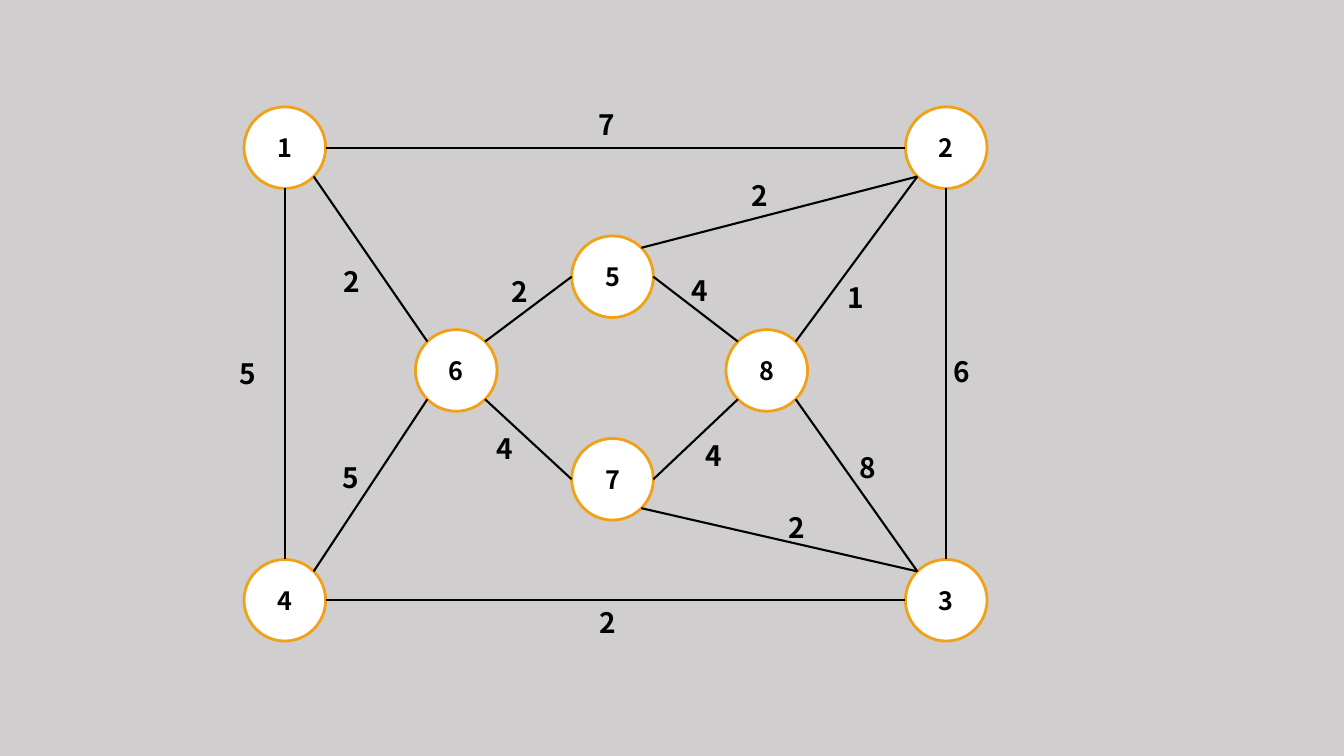
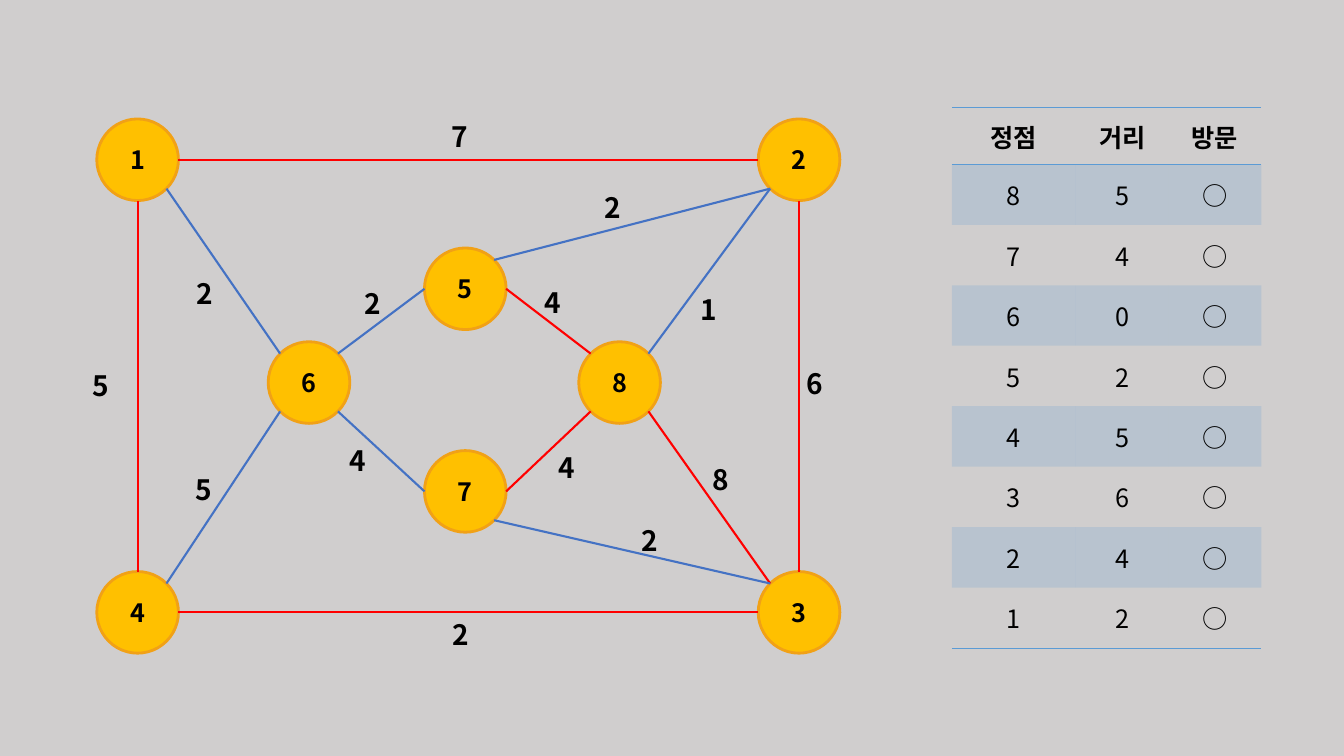
"""Two slides: a weighted graph, and its shortest paths with a distance table."""
from dataclasses import dataclass
from math import cos, radians, sin

from lxml import etree
from pptx import Presentation
from pptx.dml.color import RGBColor
from pptx.enum.shapes import MSO_CONNECTOR, MSO_SHAPE
from pptx.enum.text import MSO_ANCHOR, MSO_AUTO_SIZE, PP_ALIGN
from pptx.oxml.ns import qn
from pptx.util import Inches, Pt

STRAIGHT = MSO_CONNECTOR.STRAIGHT
OVAL = MSO_SHAPE.OVAL
MIDDLE = MSO_ANCHOR.MIDDLE
FIT = MSO_AUTO_SIZE.SHAPE_TO_FIT_TEXT
CENTER, LEFT = PP_ALIGN.CENTER, PP_ALIGN.LEFT
NO_STYLE = "{2D5ABB26-0587-4C30-8999-92F81FD0307C}"
TOP, TL, L, BL, BOTTOM, BR, R, TR = range(8)


@dataclass(frozen=True)
class Theme:
    font: str = "Noto Sans CJK KR"
    text_size: int = 18
    weight_size: int = 20
    background: str = "D0CECE"
    text: str = "000000"
    outline: str = "F1A116"
    plain: str = "FFFFFF"
    visited: str = "FFC000"
    unused: str = "FF0000"
    path_edge: str = "4472C4"
    table: str = "5B9BD5"
    band_alpha: int = 20
    diameter: float = 0.81


def rgb(value):
    return RGBColor.from_string(value)


class Deck:
    def __init__(self, theme):
        self.theme = theme
        self.prs = Presentation()
        self.prs.slide_width, self.prs.slide_height = Inches(13.33), Inches(7.5)
        fill = self.prs.slide_master.background.fill
        fill.solid()
        fill.fore_color.rgb = rgb(theme.background)
        self.s = None

    def slide(self):
        self.s = self.prs.slides.add_slide(self.prs.slide_layouts[6])

    def add_text(self, tf, text, size, bold=True, align=CENTER):
        p = tf.paragraphs[0]
        p.alignment = align
        r = p.add_run()
        r.text = text
        fmt = {"name": self.theme.font, "size": Pt(size), "bold": bold}
        for key, value in fmt.items():
            setattr(r.font, key, value)
        r.font.color.rgb = rgb(self.theme.text)
        ea = etree.SubElement(r.font._element, qn("a:ea"))
        ea.set("typeface", self.theme.font)

    def node(self, name, x, y, color):
        d = Inches(self.theme.diameter)
        sp = self.s.shapes.add_shape(OVAL, Inches(x), Inches(y), d, d)
        sp.shadow.inherit = False
        sp.fill.solid()
        sp.fill.fore_color.rgb = rgb(color)
        sp.line.color.rgb = rgb(self.theme.outline)
        sp.line.width = Pt(2)
        sp.text_frame.vertical_anchor = MIDDLE
        self.add_text(sp.text_frame, str(name), self.theme.text_size)
        return sp

    def site(self, sp, index):
        angle = radians(90 + 45 * index)
        radius = sp.width / 2
        return (round(sp.left + radius + radius * cos(angle)),
                round(sp.top + radius - radius * sin(angle)))

    def edge(self, start, start_site, end, end_site, color):
        line = self.s.shapes.add_connector(
            STRAIGHT, *self.site(start, start_site), *self.site(end, end_site))
        line.line.color.rgb = rgb(color)
        line.line.width = Pt(1.5)
        etree.SubElement(line._element.spPr, qn("a:effectLst"))
        props = line._element.find(".//" + qn("p:cNvCxnSpPr"))
        for tag, sp, index in (("a:stCxn", start, start_site),
                               ("a:endCxn", end, end_site)):
            etree.SubElement(props, qn(tag), id=str(sp.shape_id), idx=str(index))

    def weight(self, text, x, y):
        sp = self.s.shapes.add_textbox(
            Inches(x), Inches(y), Inches(0.36), Inches(0.44))
        tf = sp.text_frame
        tf.word_wrap = False
        tf.auto_size = FIT
        self.add_text(tf, str(text), self.theme.weight_size, align=LEFT)

    def graph(self, node_color, edge_color, path_color, dx=0, dy=0):
        nodes = {name: self.node(name, x + dx, y + dy, node_color)
                 for name, (x, y) in NODES.items()}
        for a, a_site, b, b_site, weight, x, y in EDGES:
            color = path_color if (a, b) in PATH_EDGES else edge_color
            self.edge(nodes[a], a_site, nodes[b], b_site, color)
            self.weight(weight, x + dx, y + dy)

    def border(self, cell, sides):
        tc_pr = cell._tc.get_or_add_tcPr()
        for i, side in enumerate(sides):
            ln = etree.Element(qn(f"a:ln{side}"), w=str(Pt(1)))
            fill = etree.SubElement(ln, qn("a:solidFill"))
            etree.SubElement(fill, qn("a:srgbClr"), val=self.theme.table)
            tc_pr.insert(i, ln)

    def band(self, cell):
        cell.fill.solid()
        cell.fill.fore_color.rgb = rgb(self.theme.table)
        color = cell._tc.tcPr.find(".//" + qn("a:srgbClr"))
        etree.SubElement(color, qn("a:alpha"), val=str(self.theme.band_alpha * 1000))

    def table(self, rows, x, y, widths, heights):
        frame = self.s.shapes.add_table(
            len(rows), len(widths), Inches(x), Inches(y),
            Inches(sum(widths)), Inches(sum(heights)))
        tbl = frame.table
        tbl.first_row = tbl.horz_banding = False
        tbl._tbl.tblPr.find(qn("a:tableStyleId")).text = NO_STYLE
        for column, width in zip(tbl.columns, widths):
            column.width = Inches(width)
        for row, height in zip(tbl.rows, heights):
            row.height = Inches(height)
        sides = {0: "TB", len(rows) - 1: "B"}
        for i, values in enumerate(rows):
            for j, value in enumerate(values):
                cell = tbl.cell(i, j)
                cell.vertical_anchor = MIDDLE
                self.add_text(cell.text_frame, str(value), self.theme.text_size, i == 0)
                if i % 2:
                    self.band(cell)
                else:
                    cell.fill.background()
                self.border(cell, sides.get(i, ""))


NODES = {
    1: (2.42, 1.06), 2: (8.98, 1.06), 4: (2.42, 5.55), 3: (8.98, 5.55),
    5: (5.67, 2.34), 7: (5.67, 4.35), 8: (7.2, 3.27), 6: (4.12, 3.27),
}
EDGES = [
    (1, R, 2, L, 7, 5.84, 1.02),
    (1, BR, 6, TL, 2, 3.31, 2.57),
    (4, TR, 6, BL, 5, 3.3, 4.52),
    (4, TOP, 1, BOTTOM, 5, 2.28, 3.49),
    (4, R, 3, L, 2, 5.85, 5.96),
    (6, BR, 7, L, 4, 4.83, 4.23),
    (6, TR, 5, L, 2, 4.98, 2.67),
    (5, R, 8, TL, 4, 6.76, 2.66),
    (8, BR, 3, TL, 8, 8.43, 4.42),
    (8, TR, 2, BL, 1, 8.31, 2.73),
    (3, TOP, 2, BOTTOM, 6, 9.36, 3.47),
    (7, R, 8, BL, 4, 6.9, 4.3),
    (5, TR, 2, BL, 2, 7.36, 1.72),
    (7, BR, 3, TL, 2, 7.72, 5.02),
]
PATH_EDGES = {(1, 6), (4, 6), (6, 7), (6, 5), (8, 2), (5, 2), (7, 3)}
DISTANCES = {8: 5, 7: 4, 6: 0, 5: 2, 4: 5, 3: 6, 2: 4, 1: 2}

theme = Theme()
deck = Deck(theme)

deck.slide()
deck.graph(theme.plain, theme.text, theme.text)

deck.slide()
rows = [("정점", "거리", "방문")]
rows += [(vertex, distance, "○") for vertex, distance in DISTANCES.items()]
deck.table(rows, 9.44, 1.07, [1.23, 0.92, 0.92], [0.56] + [0.6] * len(DISTANCES))
deck.graph(theme.visited, theme.unused, theme.path_edge, dx=-1.46, dy=0.12)

deck.prs.save("out.pptx")
